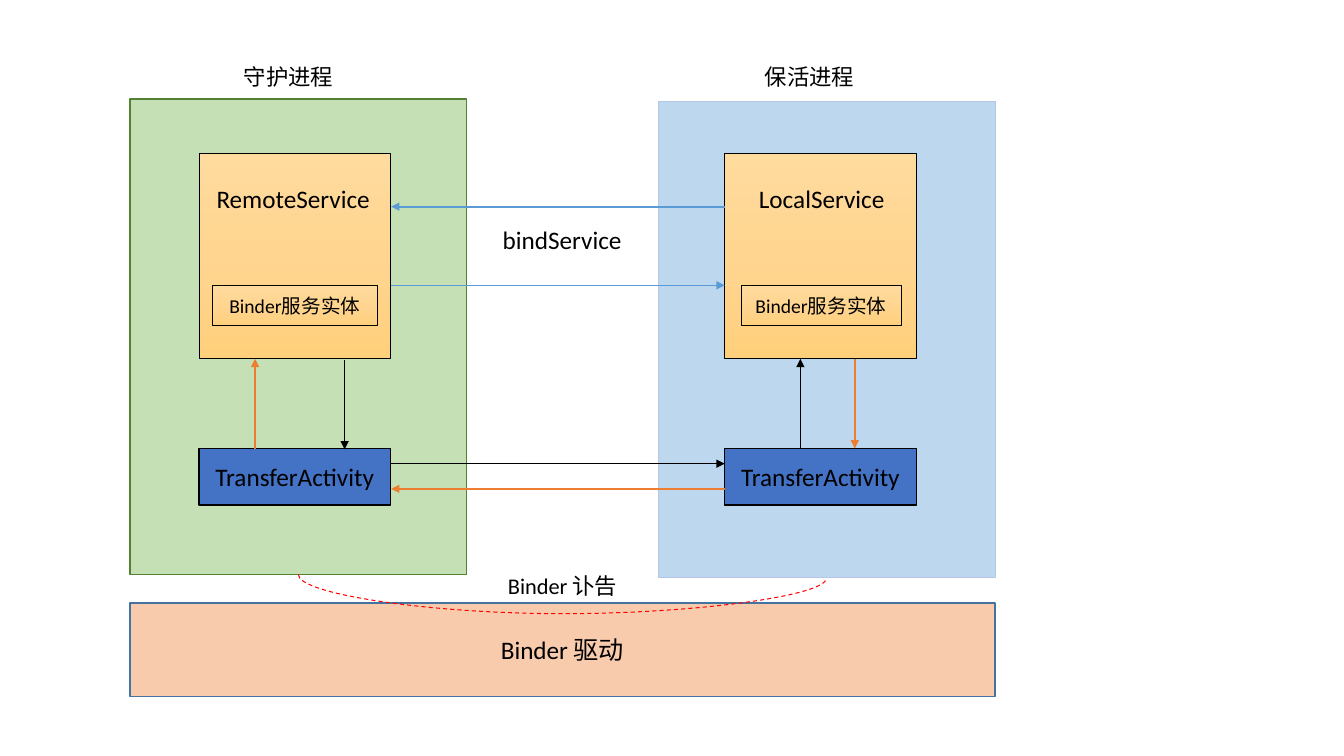
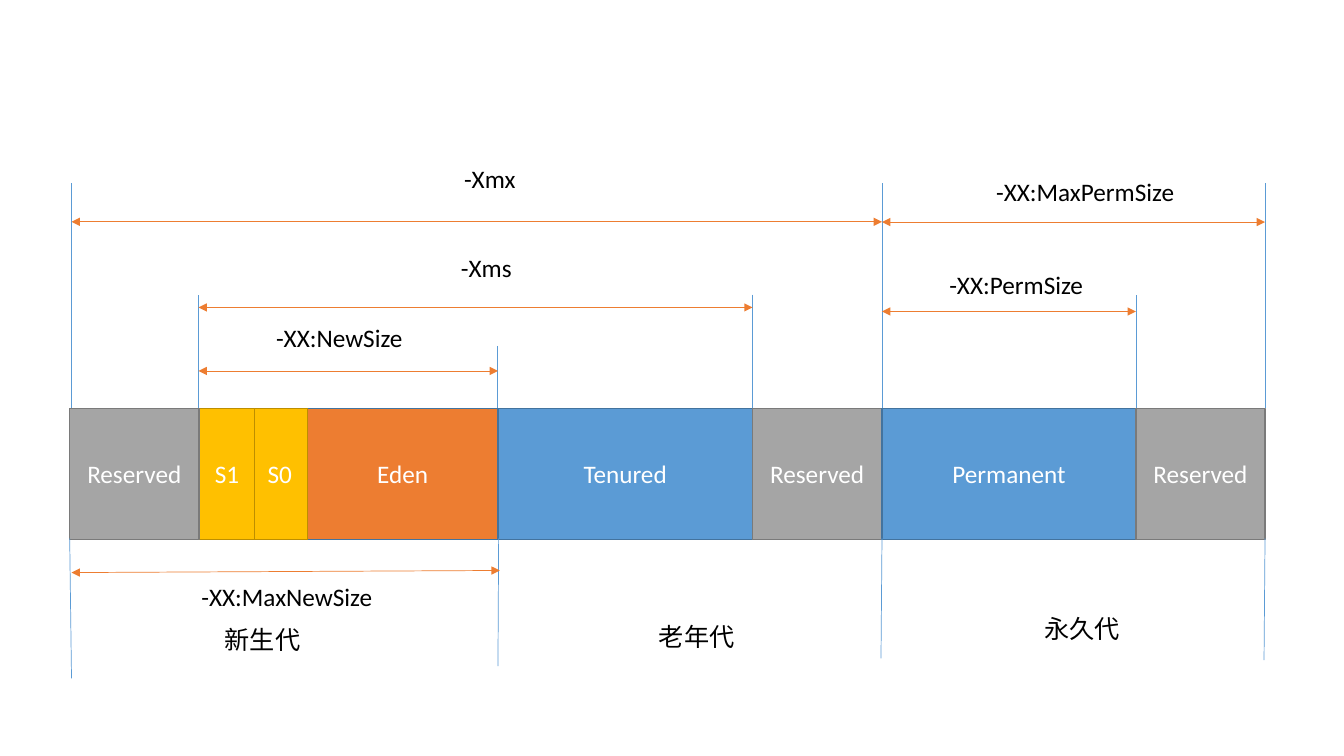
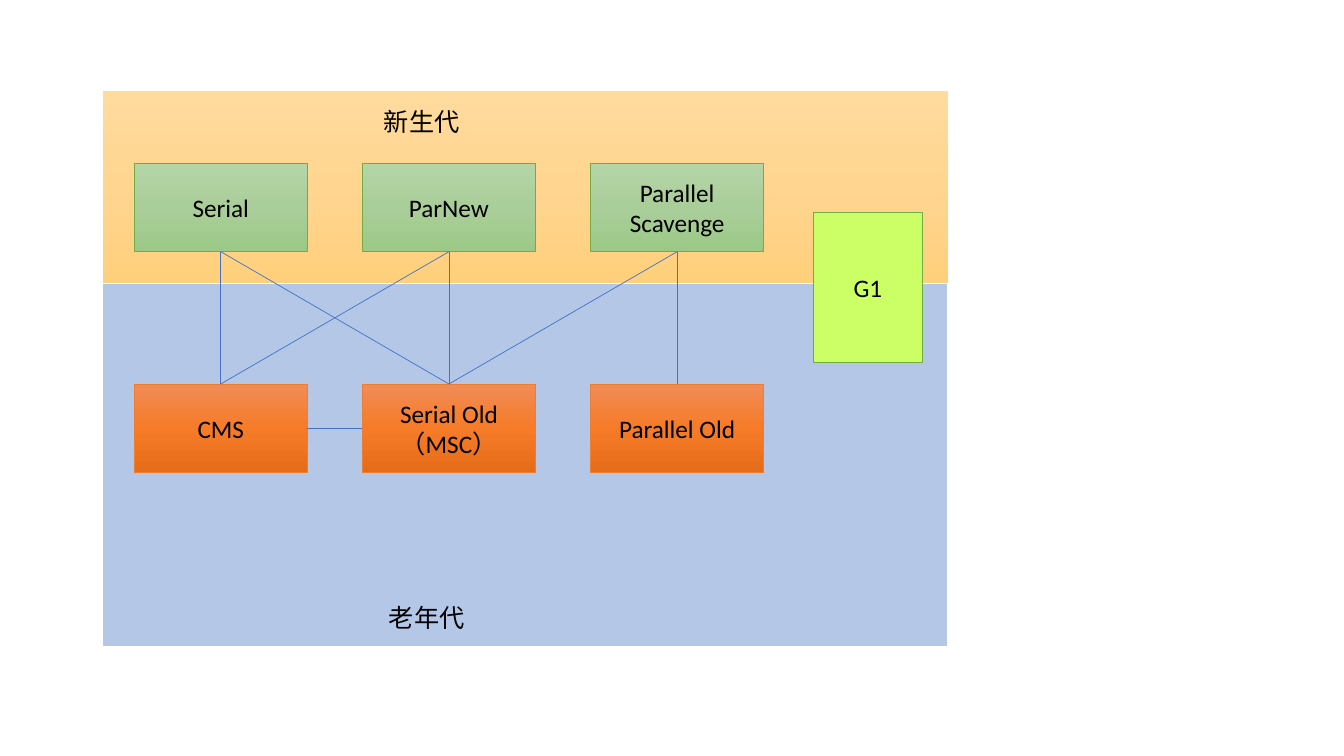
from copy import deepcopy

from pptx import Presentation
from pptx.dml.color import RGBColor
from pptx.enum.dml import MSO_LINE
from pptx.enum.shapes import MSO_CONNECTOR, MSO_SHAPE
from pptx.enum.text import MSO_ANCHOR, MSO_AUTO_SIZE, PP_ALIGN
from pptx.oxml.ns import qn
from pptx.oxml.xmlchemy import OxmlElement
from pptx.util import Pt

FONT = "Calibri"
BLACK, WHITE, RED = "000000", "FFFFFF", "FF0000"
BLUE, NAVY, ROYAL = "5B9BD5", "43739E", "4472C4"
ORANGE, GREEN, PALE_BLUE = "ED7D31", "70AD47", "B4C7E7"
GRAY, GRAY_EDGE, GOLD, GOLD_EDGE = "A5A5A5", "7A7A7A", "FFC000", "BD8E00"
SAND_FADE = ("FFDB9E", "FFD590", "FFD07C")
GREEN_FADE = ("B5D5A7", "AACE9A", "9CC987")
ORANGE_FADE = ("F18C57", "F67B28", "E56C19")


def add_box(page, frame, text="", fill=None, edge=None, weight=1, size=18, color=BLACK):
    place = [Pt(value) for value in frame]
    if fill is None:
        box = page.shapes.add_textbox(*place)
        box.text_frame.auto_size = MSO_AUTO_SIZE.SHAPE_TO_FIT_TEXT
    else:
        box = page.shapes.add_shape(MSO_SHAPE.RECTANGLE, *place)
        box.shadow.inherit = False
        box.text_frame.vertical_anchor = MSO_ANCHOR.MIDDLE
        box.line.color.rgb = RGBColor.from_string(edge)
        box.line.width = Pt(weight)
        if isinstance(fill, str):
            box.fill.solid()
            box.fill.fore_color.rgb = RGBColor.from_string(fill)
        else:
            box.fill.gradient()
            box.fill.gradient_angle = 270
            stop_list = box._element.spPr.find(".//" + qn("a:gsLst"))
            stop_list.insert(1, deepcopy(stop_list[0]))
            for stop, shade, position in zip(box.fill.gradient_stops, fill, (0, 0.5, 1)):
                stop.color.rgb = RGBColor.from_string(shade)
                stop.position = position
    box.text_frame.word_wrap = True
    box.text_frame.text = text
    for para in box.text_frame.paragraphs:
        para.alignment = PP_ALIGN.LEFT if fill is None else PP_ALIGN.CENTER
        para.font.name = FONT
        para.font.size = Pt(size)
        para.font.color.rgb = RGBColor.from_string(color)
    return box


def add_line(page, ends, color, weight=0.5, arrows=(), kind=MSO_CONNECTOR.STRAIGHT):
    line = page.shapes.add_connector(kind, *[Pt(value) for value in ends])
    line.line.color.rgb = RGBColor.from_string(color)
    line.line.width = Pt(weight)
    for tag in arrows:
        arrow = OxmlElement(tag)
        arrow.set("type", "triangle")
        line.line._get_or_add_ln().append(arrow)
    line._element.spPr.append(OxmlElement("a:effectLst"))
    return line


TAIL = ("a:tailEnd",)
BOTH = ("a:headEnd", "a:tailEnd")

deck = Presentation()
deck.slide_width, deck.slide_height = Pt(960), Pt(540)
blank = deck.slide_layouts[6]

page = deck.slides.add_slide(blank)
processes = [
    ("守护进程", 167, (92.9, 70.6), "C5E0B4", "538035", 1, 142.2,
     "RemoteService", 147.6, (151.9, 117.4)),
    ("保活进程", 539.3, (470.2, 72.7), "BDD7EE", PALE_BLUE, 0.5, 517.7,
     "LocalService", 535, (529.2, 114.5)),
]
for title, title_left, corner, fill, edge, weight, left, service, service_left, binder in processes:
    add_box(page, (*corner, 240.5, 339.8), fill=fill, edge=edge, weight=weight)
    add_box(page, (left, 320.4, 136.8, 40.3), "TransferActivity", ROYAL, BLACK)
    add_box(page, (left, 109.4, 136.8, 146.9), fill=SAND_FADE, edge=BLACK, weight=0.5)
    add_box(page, (service_left, 127.4, 136.8, 28.8), service)
    add_box(page, (binder[0], 203.8, binder[1], 28.8), "Binder服务实体",
            SAND_FADE, BLACK, 0.5, 14)
    add_box(page, (title_left, 41.8, 102.2, 26.6), title, size=16)

add_box(page, (92.9, 430.6, 617.8, 67), "Binder 驱动", "F8CBAD", NAVY)
add_box(page, (352, 157, 109.4, 28.8), "bindService")
add_box(page, (355.7, 405.4, 102.2, 26.6), "Binder 讣告", size=16)

calls = [
    ((517.7, 147.6, 279.4, 147.6), BLUE, 1.5),
    ((279.4, 203.8, 517.7, 203.8), BLUE, 0.5),
    ((246.2, 257, 246.2, 321), BLACK, 1),
    ((279.4, 331.2, 517.7, 331.2), BLACK, 1),
    ((571.7, 320.4, 571.7, 256.3), BLACK, 1),
    ((517.7, 349.2, 279.4, 349.2), ORANGE, 1.5),
    ((182.2, 320.4, 182.2, 256.3), ORANGE, 1.5),
    ((610.6, 256.3, 610.6, 320.4), ORANGE, 1.5),
]
for ends, color, weight in calls:
    add_line(page, ends, color, weight, TAIL)

notice = add_line(page, (403, 223, 400.55, 600.3), RED, 0.75, kind=MSO_CONNECTOR.CURVE)
notice.line.dash_style = MSO_LINE.DASH
notice._element.spPr.find(qn("a:xfrm")).set("rot", "16200000")
geometry = notice._element.spPr.find(qn("a:prstGeom"))
bend = OxmlElement("a:gd")
bend.set("name", "adj1")
bend.set("fmla", "val 1147300")
geometry.get_or_add_avLst().append(bend)

page = deck.slides.add_slide(blank)
regions = [
    ("Eden", 219.6, 136.1, ORANGE, NAVY),
    ("S0", 180, 39.6, GOLD, GOLD_EDGE),
    ("S1", 142.4, 39.6, GOLD, GOLD_EDGE),
    ("Tenured", 355.7, 181.8, BLUE, NAVY),
    ("Reserved", 49.8, 92.3, GRAY, GRAY_EDGE),
    ("Reserved", 537.6, 92.3, GRAY, GRAY_EDGE),
    ("Permanent", 630, 181.6, BLUE, NAVY),
    ("Reserved", 811.4, 92.3, GRAY, GRAY_EDGE),
]
for name, left, width, fill, edge in regions:
    add_box(page, (left, 291.6, width, 93.6), name, fill, edge, color=WHITE)

for left, top in [(51.1, 131), (355.2, 247), (630, 131), (903.6, 131),
                  (141.8, 211), (537.6, 210.5), (811.4, 211)]:
    add_line(page, (left, top, left, 291.6), BLUE)
for start, end, bottom in [(49.8, 51.1, 484.6), (356.2, 355.7, 475.9),
                           (630, 629.3, 470.2), (903.6, 902.9, 471.6)]:
    add_line(page, (start, 384.5, end, bottom), BLUE)
for ends in [(51.1, 158.4, 630, 158.4), (141.8, 219.6, 537.6, 219.6),
             (141.8, 265, 355.7, 265), (51.1, 409, 357, 407.5),
             (630, 158.6, 903.6, 158.6), (630, 222.5, 811.4, 222.5)]:
    add_line(page, ends, ORANGE, arrows=BOTH)

for text, left, top, width in [
    ("-XX:NewSize", 190.1, 226.8, 134.6), ("-Xmx", 324.4, 113.4, 134.6),
    ("-Xms", 322.2, 176.4, 134.6), ("-XX:MaxNewSize", 136.8, 411.5, 141.8),
    ("-XX:MaxPermSize", 704.4, 122.4, 146.9), ("-XX:PermSize", 671, 188.8, 134.6),
    ("新生代", 153.4, 442.1, 79.9), ("老年代", 463.5, 440.6, 79.9),
    ("永久代", 738.7, 434.9, 79.9),
]:
    add_box(page, (left, top, width, 28.8), text)

page = deck.slides.add_slide(blank)
add_box(page, (73, 201.9, 604.4, 260.6), fill=PALE_BLUE, edge=WHITE, weight=1.5)
add_box(page, (73, 64.4, 604.4, 138), fill=SAND_FADE, edge=WHITE, weight=0.5)
column_left, column_step, width, height = 95.8, 163, 123.8, 63.4
young_top, old_top = 116.4, 274.3
collector_rows = [
    (young_top, GREEN_FADE, GREEN, ("Serial", "ParNew", "Parallel\nScavenge")),
    (old_top, ORANGE_FADE, ORANGE, ("CMS", "Serial Old\n（MSC）", "Parallel Old")),
]
for top, fill, edge, names in collector_rows:
    for column, name in enumerate(names):
        left = column_left + column * column_step
        add_box(page, (left, top, width, height), name, fill, edge, 0.5)
add_box(page, (581, 151.4, 77.8, 107.3), "G1", "CCFF66", GREEN, 0.5)

center = column_left + width / 2
for young, old in [(0, 0), (0, 1), (1, 1), (2, 2), (1, 0), (2, 1)]:
    add_line(page, (center + young * column_step, young_top + height,
                    center + old * column_step, old_top), ROYAL)
middle = old_top + height / 2
add_line(page, (column_left + width, middle, column_left + column_step, middle), ROYAL)
add_box(page, (267.1, 72.7, 133.9, 28.8), "新生代")
add_box(page, (270.7, 427, 133.9, 28.8), "老年代")

deck.save("out.pptx")
